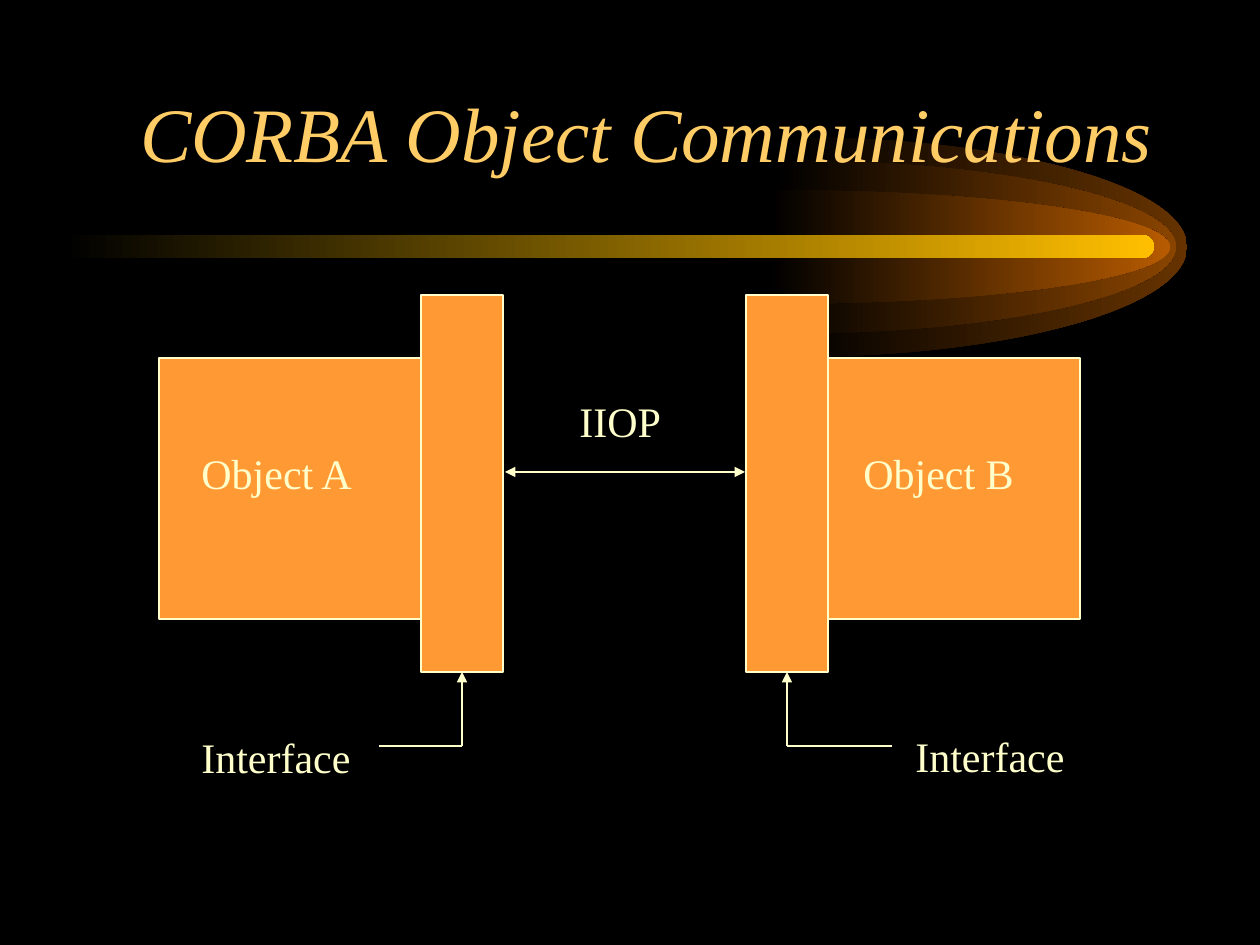
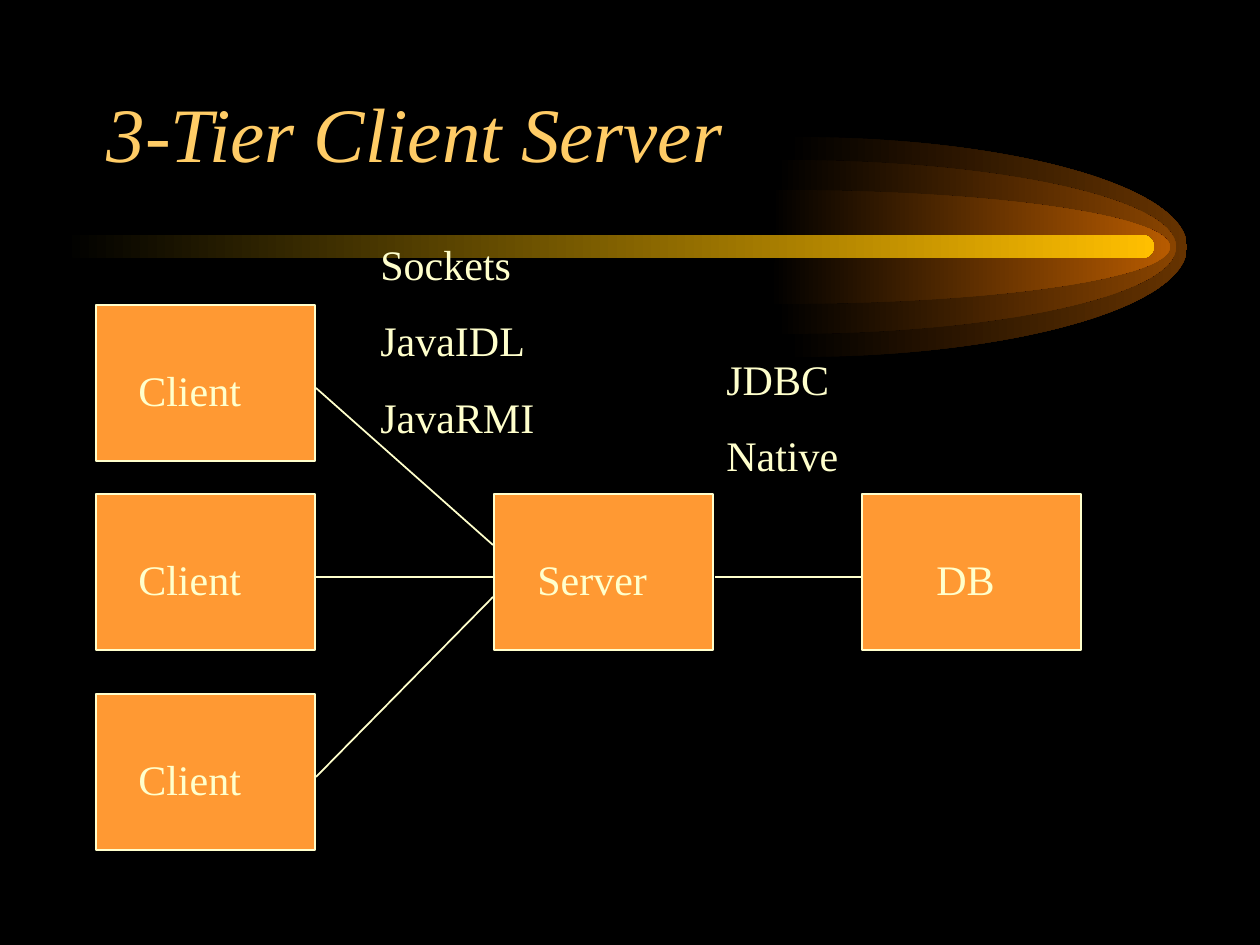
from dataclasses import dataclass

from lxml import etree
from pptx import Presentation
from pptx import util as u
from pptx.dml.color import RGBColor
from pptx.enum import shapes, text
from pptx.oxml import ns

EMU_PER_PX = 914400 / 126
ARC_HANDLE = 0.55


@dataclass(frozen=True)
class Theme:
    background: str = "000000"
    title: str = "FFCC66"
    ink: str = "FFFFCC"
    box: str = "FF9933"
    bar: str = "FFBF00"
    glows: tuple = ("663300", "894400", "B75B00")
    font: str = "Times New Roman"
    title_size: int = 44
    label_size: int = 24
    label_gap: int = 15
    line_width: int = 1


THEME = Theme()
TITLE_FONT = {"name": THEME.font, "size": u.Pt(THEME.title_size), "italic": True}
LABEL_FONT = {"name": THEME.font, "size": u.Pt(THEME.label_size)}


def px(length):
    return u.Emu(round(length * EMU_PER_PX))


def px_all(*lengths):
    return [px(length) for length in lengths]


def color(value):
    return RGBColor.from_string(value)


def apply(target, values):
    for name, value in values.items():
        setattr(target, name, value)


def set_font(paragraph, values, ink):
    apply(paragraph.font, values)
    paragraph.font.color.rgb = color(ink)


def fill_gradient(shape, end_color):
    shape.shadow.inherit = False
    shape.line.fill.background()
    shape.fill.gradient()
    shape.fill.gradient_angle = 0
    stops = shape.fill.gradient_stops
    for stop, position, value in zip(stops, (0, 1), (THEME.background, end_color)):
        stop.position = position
        stop.color.rgb = color(value)


def round_segments(shape, curve_count):
    segments = shape.element.xpath(".//a:lnTo")
    for first in range(0, 3 * curve_count, 3):
        curve = etree.Element(ns.qn("a:cubicBezTo"))
        segments[first].addprevious(curve)
        for segment in segments[first:first + 3]:
            curve.append(segment[0])
            segment.getparent().remove(segment)


def add_glow(slide, center_x, radius_y, end_color, center_y=247, radius_x=394):
    top, bottom = center_y - radius_y, center_y + radius_y
    right = center_x + radius_x
    handle_x = center_x + ARC_HANDLE * radius_x
    handle_y = ARC_HANDLE * radius_y
    outline = [(handle_x, top), (right, center_y - handle_y), (right, center_y),
               (right, center_y + handle_y), (handle_x, bottom), (center_x, bottom),
               (center_x - 6, bottom), (center_x, center_y)]
    builder = slide.shapes.build_freeform(*px_all(center_x, top))
    builder.add_line_segments([px_all(*point) for point in outline], close=True)
    glow = builder.convert_to_shape()
    round_segments(glow, 2)
    fill_gradient(glow, end_color)
    return glow


def add_bar(slide):
    bar = slide.shapes.add_shape(shapes.MSO_SHAPE.ROUNDED_RECTANGLE,
                                 *px_all(63, 235, 1091, 23))
    bar.adjustments[0] = 0.5
    fill_gradient(bar, THEME.bar)
    return bar


def style_layout(presentation, layout, slide):
    background = presentation.slide_master.background.fill
    background.solid()
    background.fore_color.rgb = color(THEME.background)
    left, top, width, height = px_all(94, 53, 1072, 157)
    apply(layout.placeholders[0],
          {"left": left, "top": top, "width": width, "height": height})
    comet = [add_glow(slide, center_x, radius_y, glow_color)
             for center_x, radius_y, glow_color
             in zip((793, 782, 776), (110, 87, 57), THEME.glows)]
    comet.append(add_bar(slide))
    for index, shape in enumerate(comet):
        shape.element.xpath(".//p:cNvPr")[0].set("id", str(100 + index))
        layout.shapes.element.insert(2 + index, shape.element)


def add_title(slide, wording, alignment=text.PP_ALIGN.LEFT):
    frame = slide.shapes.title.text_frame
    frame.text = wording
    apply(frame, {"vertical_anchor": text.MSO_ANCHOR.MIDDLE, "word_wrap": True,
                  "auto_size": text.MSO_AUTO_SIZE.NONE})
    paragraph = frame.paragraphs[0]
    paragraph.alignment = alignment
    set_font(paragraph, TITLE_FONT, THEME.title)


def add_box(slide, left, top, width, height):
    box = slide.shapes.add_shape(shapes.MSO_SHAPE.RECTANGLE,
                                 *px_all(left, top, width, height))
    box.shadow.inherit = False
    box.fill.solid()
    box.fill.fore_color.rgb = color(THEME.box)
    box.line.color.rgb = color(THEME.ink)
    box.line.width = u.Pt(THEME.line_width)
    return box


def add_label(slide, lines, left, top, width, height=63):
    label = slide.shapes.add_textbox(*px_all(left, top, width, height))
    frame = label.text_frame
    apply(frame, {"word_wrap": True, "auto_size": text.MSO_AUTO_SIZE.SHAPE_TO_FIT_TEXT})
    frame.text = "\n".join(lines)
    for index, paragraph in enumerate(frame.paragraphs):
        paragraph.alignment = text.PP_ALIGN.LEFT
        if index:
            paragraph.space_before = u.Pt(THEME.label_gap)
        set_font(paragraph, LABEL_FONT, THEME.ink)


def add_line(slide, start, end, arrows=(), end_shape=None, end_side=2):
    line = slide.shapes.add_connector(shapes.MSO_CONNECTOR.STRAIGHT,
                                      *px_all(*start, *end))
    line.line.color.rgb = color(THEME.ink)
    line.line.width = u.Pt(THEME.line_width)
    properties = line.element.spPr
    for arrow in arrows:
        etree.SubElement(properties.get_or_add_ln(), ns.qn(f"a:{arrow}"),
                         type="triangle")
    etree.SubElement(properties, ns.qn("a:effectLst"))
    if end_shape is not None:
        line.end_connect(end_shape, end_side)


def add_interface_pointer(slide, plate, label_end, center_x):
    elbow = (center_x, 746)
    add_line(slide, (label_end, 746), elbow)
    add_line(slide, elbow, (center_x, 672), ("tailEnd",), plate)


def build_corba(slide):
    add_title(slide, "CORBA Object Communications", text.PP_ALIGN.RIGHT)
    for left in (159, 778):
        add_box(slide, left, 358, 302, 261)
    plate_width = 82
    for left, label_end in ((421, 379), (746, 892)):
        plate = add_box(slide, left, 295, plate_width, 377)
        add_interface_pointer(slide, plate, label_end, left + plate_width // 2)
    add_line(slide, (505, 472), (745, 472), ("headEnd", "tailEnd"))
    for wording, left, top, width in (("Object A", 189, 441, 209),
                                      ("Object B", 851, 441, 199),
                                      ("Interface", 189, 725, 231),
                                      ("Interface", 903, 724, 231),
                                      ("IIOP", 567, 389, 158)):
        add_label(slide, [wording], left, top, width)


def add_node(slide, wording, left, top, label_indent=30):
    add_box(slide, left, top, 219, 156)
    add_label(slide, [wording], left + label_indent, top + 53, 136)


def build_three_tier(slide):
    add_title(slide, "3-Tier Client Server")
    middle_top, line_drop = 494, 83
    for top, server_y in ((305, 545), (middle_top, 577), (694, 597)):
        add_node(slide, "Client", 96, top)
        add_line(slide, (316, top + line_drop), (493, server_y))
    add_node(slide, "Server", 494, middle_top, 31)
    add_node(slide, "DB", 862, middle_top, 62)
    line_y = middle_top + line_drop
    add_line(slide, (715, line_y), (861, line_y))
    add_label(slide, ["Sockets", "JavaIDL", "JavaRMI"], 368, 232, 220, 215)
    add_label(slide, ["JDBC", "Native"], 714, 347, 158, 140)


def main():
    presentation = Presentation()
    presentation.slide_width = u.Inches(10)
    presentation.slide_height = u.Inches(7.5)
    layout = presentation.slide_layouts[5]
    corba, three_tier = [presentation.slides.add_slide(layout) for _ in range(2)]
    style_layout(presentation, layout, corba)
    build_corba(corba)
    build_three_tier(three_tier)
    presentation.save("out.pptx")


if __name__ == "__main__":
    main()
